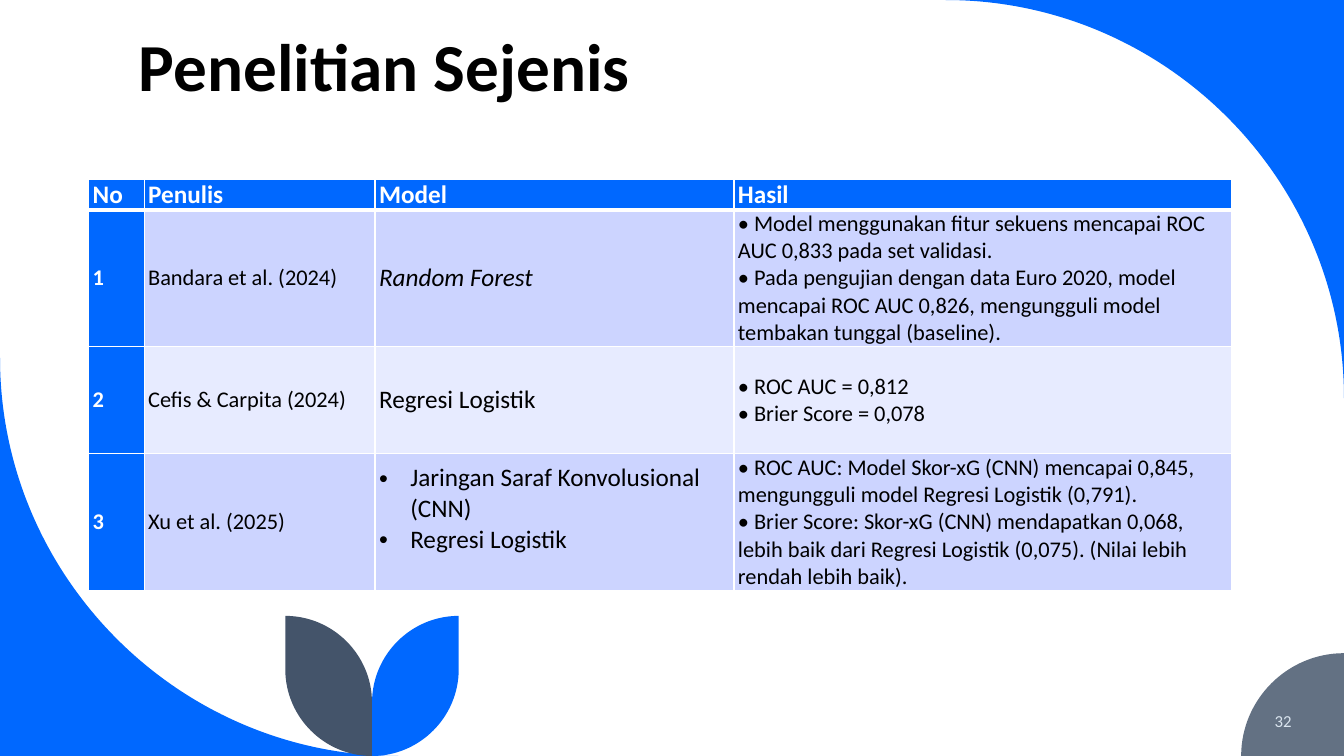
from lxml.etree import SubElement
from pptx import Presentation
from pptx.dml.color import RGBColor
from pptx.enum.text import MSO_ANCHOR as Anchor, PP_ALIGN as Align
from pptx.oxml import parse_xml
from pptx.oxml.ns import nsdecls, qn
from pptx.util import Inches, Pt

WIDTH, HEIGHT = 13.33, 7.5
FONT = "Calibri"
ROUNDNESS = 0.55
COLORS = {"blue": "0068FF", "slate": "44546A", "gray": "637183", "white": "FFFFFF",
          "black": "000000", "number": "DAE5EF", "odd": "CCD4FF", "even": "E7EBFF"}
COLUMNS = [0.55, 2.29, 3.56, 4.94]
ROWS = [0.3, 1.36, 1.06, 1.36]
HEADINGS = ["No", "Penulis", "Model", "Hasil"]
STUDIES = [
    ("Bandara et al. (2024)", ["Random Forest"],
     ["• Model menggunakan fitur sekuens mencapai ROC AUC 0,833 pada set validasi.",
      "• Pada pengujian dengan data Euro 2020, model mencapai ROC AUC 0,826, "
      "mengungguli model tembakan tunggal (baseline)."]),
    ("Cefis & Carpita (2024)", ["Regresi Logistik"],
     ["• ROC AUC = 0,812", "• Brier Score = 0,078"]),
    ("Xu et al. (2025)", ["Jaringan Saraf Konvolusional (CNN)", "Regresi Logistik"],
     ["• ROC AUC: Model Skor-xG (CNN) mencapai 0,845, mengungguli model Regresi Logistik (0,791).",
      "• Brier Score: Skor-xG (CNN) mendapatkan 0,068, lebih baik dari Regresi Logistik (0,075). "
      "(Nilai lebih rendah lebih baik)."]),
]


def rgb(name):
    """Return the named colour."""
    return RGBColor.from_string(COLORS[name])


def curve(start, corner, end):
    """Return the three Bézier points of a quarter circle that rounds a corner."""
    first, second = [tuple(a + ROUNDNESS * (c - a) for a, c in zip(point, corner))
                     for point in (start, end)]
    return [first, second, end]


def add_outline(slide, start, segments, color):
    """Draw a filled outline of lines (one point) and curves (three points)."""
    points = [tuple(map(Inches, point)) for segment in segments for point in segment]
    builder = slide.shapes.build_freeform(*map(Inches, start))
    builder.add_line_segments(points, close=True)
    outline = builder.convert_to_shape()
    steps = iter(list(outline._element.iter(qn("a:lnTo"))))
    for segment in segments:
        step = next(steps)
        if len(segment) == 3:
            bezier = parse_xml(f'<a:cubicBezTo {nsdecls("a")}/>')
            step.addprevious(bezier)
            for part in (step, next(steps), next(steps)):
                bezier.append(part[0])
                part.getparent().remove(part)
    outline.shadow.inherit = False
    outline.fill.solid()
    outline.fill.fore_color.rgb = rgb(color)
    outline.line.fill.background()


def add_corners(slide, width, height, sweep=3.95, disc=1.02):
    """Fill the two swept corners and the quarter disc behind the page number."""
    top_right, bottom_left, bottom_right = (width, 0), (0, height), (width, height)
    start, end = (width, sweep), (width - sweep, 0)
    add_outline(slide, start, [curve(start, top_right, end), [top_right]], "blue")
    start, end = (0, height - sweep), (sweep, height)
    add_outline(slide, start, [curve(start, bottom_left, end), [bottom_left]], "blue")
    start, end = (width, height - disc), (width - disc, height)
    add_outline(slide, start, [curve(start, (width - disc, height - disc), end),
                               [bottom_right]], "gray")


def add_leaves(slide, left, top, width, height):
    """Draw a pair of mirrored leaves that meet in the middle of the box."""
    radius = width / 2
    stem, bottom = left + radius, top + height
    base = (stem, bottom)
    for side, color in ((left + width, "blue"), (left, "slate")):
        tip, outer, inner = (side, top), (side, bottom - radius), (stem, top + radius)
        add_outline(slide, tip, [[outer], curve(outer, (side, bottom), base),
                                 [inner], curve(inner, (stem, top), tip)], color)


def style(paragraph, size, color, bold=False, italic=False):
    """Set the font of a whole paragraph."""
    font = paragraph.font
    font.name, font.size, font.bold, font.italic = FONT, Pt(size), bold, italic
    font.color.rgb = rgb(color)


def add_label(slide, box, text, size, color, anchor, align=Align.LEFT, bold=False, spacing=1.0):
    """Place a one-line text in a box."""
    frame = slide.shapes.add_textbox(*map(Inches, box)).text_frame
    frame.word_wrap = True
    frame.vertical_anchor = anchor
    paragraph = frame.paragraphs[0]
    paragraph.text, paragraph.alignment, paragraph.line_spacing = text, align, spacing
    style(paragraph, size, color, bold)


def add_borders(cell, bottom):
    """Draw white borders around a cell, with its own bottom width."""
    properties = cell._tc.get_or_add_tcPr()
    widths = {"lnL": 1, "lnR": 1, "lnT": 1, "lnB": bottom}
    for index, (side, width) in enumerate(widths.items()):
        properties.insert(index, parse_xml(
            f'<a:{side} {nsdecls("a")} w="{Pt(width)}"><a:solidFill>'
            f'<a:srgbClr val="{COLORS["white"]}"/></a:solidFill></a:{side}>'))


def add_bullet(paragraph):
    """Give a paragraph a hanging bullet."""
    properties = paragraph._p.get_or_add_pPr()
    indent = Inches(0.31)
    properties.set("marL", str(indent))
    properties.set("indent", str(-indent))
    SubElement(properties, qn("a:buFont")).set("typeface", "Arial")
    SubElement(properties, qn("a:buChar")).set("char", "•")


def fill_cell(cell, lines, fill, size, color="black", bold=False, italic=False,
              bullets=False, bottom=1):
    """Write the lines of a cell and set its look."""
    cell.fill.solid()
    cell.fill.fore_color.rgb = rgb(fill)
    cell.vertical_anchor = Anchor.MIDDLE
    cell.margin_left = cell.margin_right = Inches(0.04)
    cell.margin_top, cell.margin_bottom = 0, Inches(0.26 if bullets else 0)
    add_borders(cell, bottom)
    cell.text_frame.text = "\n".join(lines)
    for paragraph in cell.text_frame.paragraphs:
        if bullets:
            add_bullet(paragraph)
        style(paragraph, size, color, bold, italic)


def add_studies(slide, left, top):
    """Build the table of related studies."""
    box = map(Inches, (left, top, sum(COLUMNS), sum(ROWS)))
    table = slide.shapes.add_table(len(ROWS), len(COLUMNS), *box).table
    for column, width in zip(table.columns, COLUMNS):
        column.width = Inches(width)
    for row, height in zip(table.rows, ROWS):
        row.height = Inches(height)
    for index, heading in enumerate(HEADINGS):
        fill_cell(table.cell(0, index), [heading], "blue", 18, "white", bold=True, bottom=3)
    for number, (author, models, results) in enumerate(STUDIES, start=1):
        band = "odd" if number % 2 else "even"
        number_cell, author_cell, model_cell, result_cell = table.rows[number].cells
        fill_cell(number_cell, [str(number)], "blue", 16, "white", bold=True)
        fill_cell(author_cell, [author], band, 16)
        fill_cell(model_cell, models, band, 18, italic=models == ["Random Forest"],
                  bullets=len(models) > 1)
        fill_cell(result_cell, results, band, 16)


def main():
    """Build and save the slide."""
    deck = Presentation()
    deck.slide_width, deck.slide_height = Inches(WIDTH), Inches(HEIGHT)
    slide = deck.slides.add_slide(deck.slide_layouts[6])
    add_corners(slide, WIDTH, HEIGHT)
    add_leaves(slide, 2.83, 6.11, 1.72, 1.39)
    add_label(slide, (1.28, 0.42, 10.69, 0.68), "Penelitian Sejenis", 48, "black",
              Anchor.BOTTOM, bold=True, spacing=0.9)
    add_label(slide, (11.1, 6.95, 1.81, 0.4), "32", 12, "number", Anchor.MIDDLE, Align.RIGHT)
    add_studies(slide, 0.88, 1.78)
    deck.save("out.pptx")


if __name__ == "__main__":
    main()
